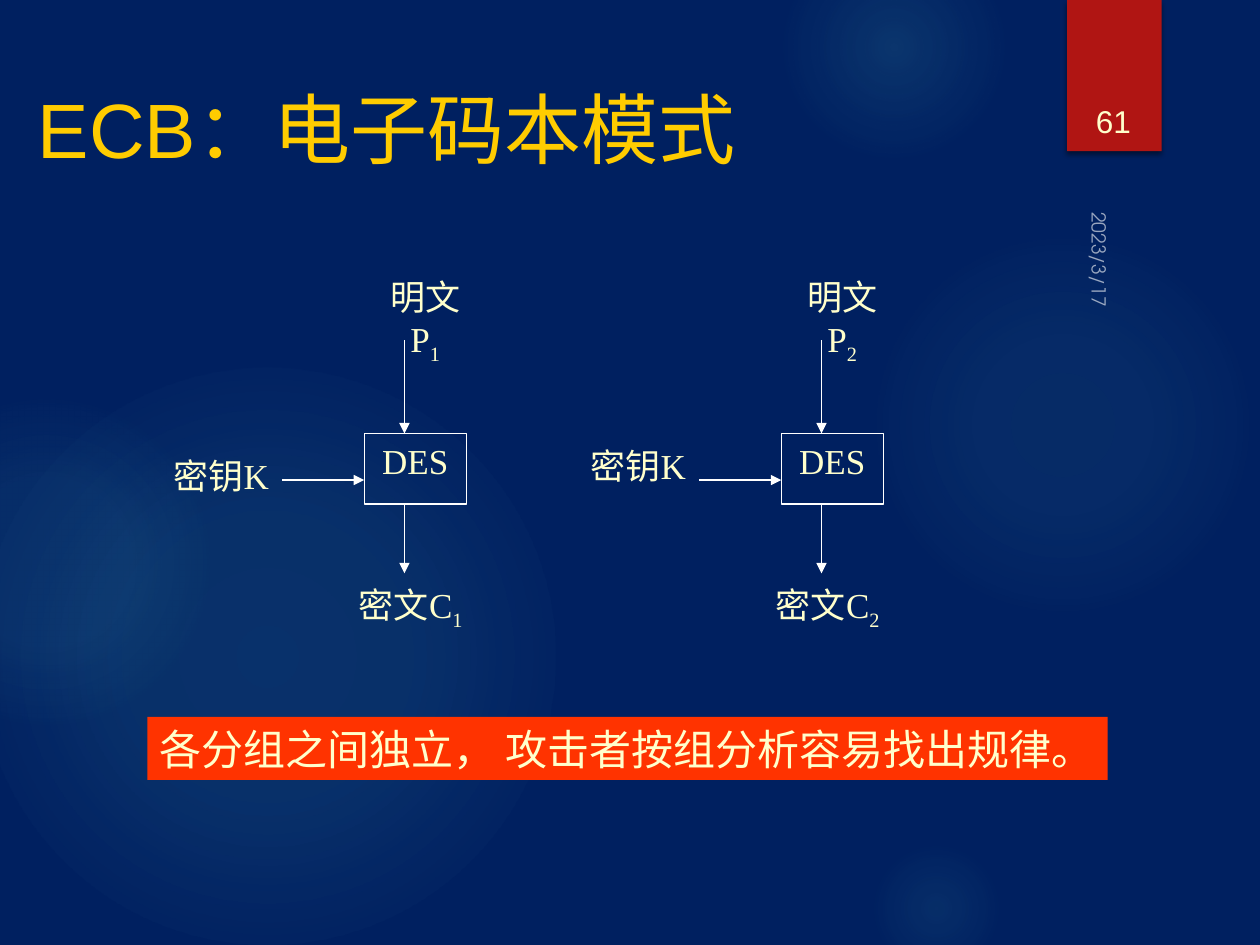
from lxml import etree
from pptx import Presentation
from pptx.dml.color import RGBColor
from pptx.enum.shapes import MSO_CONNECTOR, MSO_SHAPE
from pptx.enum.text import MSO_ANCHOR, MSO_AUTO_SIZE, PP_ALIGN
from pptx.oxml import parse_xml
from pptx.oxml.ns import nsdecls, qn
from pptx.util import Inches, Pt

RECT, OVAL = MSO_SHAPE.RECTANGLE, MSO_SHAPE.OVAL
STRAIGHT = MSO_CONNECTOR.STRAIGHT
LEFT, CENTER = PP_ALIGN.LEFT, PP_ALIGN.CENTER
TOP, BOTTOM = MSO_ANCHOR.TOP, MSO_ANCHOR.BOTTOM
GROW, FIXED = MSO_AUTO_SIZE.SHAPE_TO_FIT_TEXT, MSO_AUTO_SIZE.NONE

THEME = {
    "back": "002060", "glow": "50B9C1", "tab": "B01513", "banner": "FF3300",
    "title": "FFCC00", "text": "FFFFCC", "line": "FFFFFF",
    "sans": "Arial", "serif": "Times New Roman", "date": "TeX Gyre Adventor",
    "title_size": 44, "banner_size": 24, "label_size": 20,
    "number_size": 18, "date_size": 11, "line_width": 0.75,
}

TITLE = "ECB：电子码本模式"
DATE = "2023/3/17"
NUMBER = "61"
BANNER = "各分组之间独立， 攻击者按组分析容易找出规律。"

# left, top, diameter, then (position %, opacity %) stops
GLOWS = [
    (6.89, 1.83, 3.08, [(0, 7), (36, 6), (69, 0)]),
    (6.22, -0.5, 1.75, [(0, 14), (36, 7), (73, 0)]),
    (6.89, 6.67, 1.08, [(0, 9), (36, 5), (66, 0)]),
    (-0.17, 2.92, 4.58, [(0, 11), (36, 10), (75, 0)]),
    (-0.92, 3.17, 2.58, [(0, 8), (36, 8), (72, 0)]),
]

# left of the DES box, top of the key label, block number
BLOCKS = [(2.89, 3.56, "1"), (6.2, 3.48, "2")]
DES_TOP, DES_W, DES_H = 3.44, 0.81, 0.56
LABEL_W, LABEL_H = 0.97, 0.56
KEY_GAP = 0.65
PLAIN_TOP = 2.14
CIPHER_TOP, CIPHER_W, CIPHER_H = 4.58, 1.14, 0.74
FLOW_DX, KEY_DY = 0.32, 0.37


def color(name):
    return RGBColor.from_string(THEME[name])


def box(at):
    return [Inches(v) for v in at]


def write(sp, parts, size, font="serif", ink="text", align=CENTER, anchor=TOP,
          wrap=True, fit=FIXED):
    """Fill a shape with one paragraph; a second part becomes a subscript."""
    tf = sp.text_frame
    tf.word_wrap, tf.auto_size, tf.vertical_anchor = wrap, fit, anchor
    p = tf.paragraphs[0]
    p.alignment = align
    for i, part in enumerate(parts):
        r = p.add_run()
        r.text = part
        r.font.size = Pt(THEME[size])
        r.font.name = THEME[font]
        r.font.color.rgb = color(ink)
        if i:
            r.font._element.set("baseline", "-25000")
    return p


def add_text(s, at, parts, size, **style):
    sp = s.shapes.add_textbox(*box(at))
    return sp, write(sp, parts, size, **style)


def add_shape(s, kind, at, fill=None, line=None):
    sp = s.shapes.add_shape(kind, *box(at))
    sp.shadow.inherit = False
    if fill:
        sp.fill.solid()
        sp.fill.fore_color.rgb = color(fill)
    else:
        sp.fill.background()
    if line:
        sp.line.color.rgb = color(line)
        sp.line.width = Pt(THEME["line_width"])
    else:
        sp.line.fill.background()
    return sp


def add_glow(s, left, top, size, stops):
    sp = add_shape(s, OVAL, (left, top, size, size))
    gs = "".join(
        f'<a:gs pos="{pos * 1000}"><a:srgbClr val="{THEME["glow"]}">'
        f'<a:alpha val="{alpha * 1000}"/></a:srgbClr></a:gs>'
        for pos, alpha in stops)
    grad = parse_xml(
        f'<a:gradFill {nsdecls("a")} rotWithShape="1"><a:gsLst>{gs}</a:gsLst>'
        '<a:path path="circle"><a:fillToRect l="50000" t="50000" r="50000" '
        'b="50000"/></a:path></a:gradFill>')
    props = sp._element.spPr
    props.replace(props.find(qn("a:noFill")), grad)


def add_arrow(s, x1, y1, x2, y2):
    c = s.shapes.add_connector(STRAIGHT, *box((x1, y1, x2, y2)))
    c.line.color.rgb = color("line")
    c.line.width = Pt(THEME["line_width"])
    etree.SubElement(c.line._get_or_add_ln(), qn("a:tailEnd"), type="triangle")
    etree.SubElement(c._element.spPr, qn("a:effectLst"))


def add_page_tab(s):
    sp = add_shape(s, RECT, (8.47, 0, 0.75, 1.2), fill="tab")
    effects = sp._element.spPr.find(qn("a:effectLst"))
    effects.append(parse_xml(
        f'<a:outerShdw {nsdecls("a")} blurRad="{Pt(3)}" dist="{Pt(2)}" '
        'dir="5400000" rotWithShape="0"><a:srgbClr val="000000">'
        '<a:alpha val="45000"/></a:srgbClr></a:outerShdw>'))
    add_text(s, (8.49, 0.32, 0.69, 0.84), [NUMBER], "number_size",
             font="sans", anchor=BOTTOM)
    sp, p = add_text(s, (8.2, 2, 1.08, 0.25), [DATE], "date_size",
                     font="date", ink="line", align=LEFT)
    sp.rotation = 90
    ink = p.runs[0].font._element.find(".//" + qn("a:srgbClr"))
    etree.SubElement(ink, qn("a:alpha"), val="60000")


def add_block(s, left, key_top, number):
    """One ECB block: plaintext and key into DES, ciphertext out."""
    flow_x, key_y = left + FLOW_DX, DES_TOP + KEY_DY
    key_right = left - KEY_GAP
    add_text(s, (key_right - LABEL_W, key_top, LABEL_W, LABEL_H),
             ["密钥K"], "label_size")
    add_text(s, (left, PLAIN_TOP, LABEL_W, LABEL_H),
             ["明文 P", number], "label_size")
    des = add_shape(s, RECT, (left, DES_TOP, DES_W, DES_H), line="line")
    write(des, ["DES"], "label_size")
    add_arrow(s, key_right, key_y, left, key_y)
    add_arrow(s, flow_x, PLAIN_TOP + LABEL_H, flow_x, DES_TOP)
    add_arrow(s, flow_x, DES_TOP + DES_H, flow_x, 4.55)
    _, p = add_text(s, (left - 0.2, CIPHER_TOP, CIPHER_W, CIPHER_H),
                    ["密文C", number], "label_size")
    p.space_before = p.space_after = Pt(7.8)


def main():
    prs = Presentation()
    prs.slide_width, prs.slide_height = Inches(10), Inches(7.5)
    s = prs.slides.add_slide(prs.slide_layouts[5])
    s.background.fill.solid()
    s.background.fill.fore_color.rgb = color("back")

    for glow in GLOWS:
        add_glow(s, *glow)
    add_page_tab(s)

    title = s.shapes.title
    title.left, title.top, title.width, title.height = box((0.2, 0.6, 9.45, 0.83))
    write(title, [TITLE], "title_size", font="sans", ink="title",
          align=LEFT, anchor=BOTTOM, fit=GROW)

    for block in BLOCKS:
        add_block(s, *block)

    banner = add_shape(s, RECT, (1.17, 5.69, 7.62, 0.5), fill="banner")
    write(banner, [BANNER], "banner_size", align=LEFT, wrap=False, fit=GROW)
    prs.save("out.pptx")


if __name__ == "__main__":
    main()
